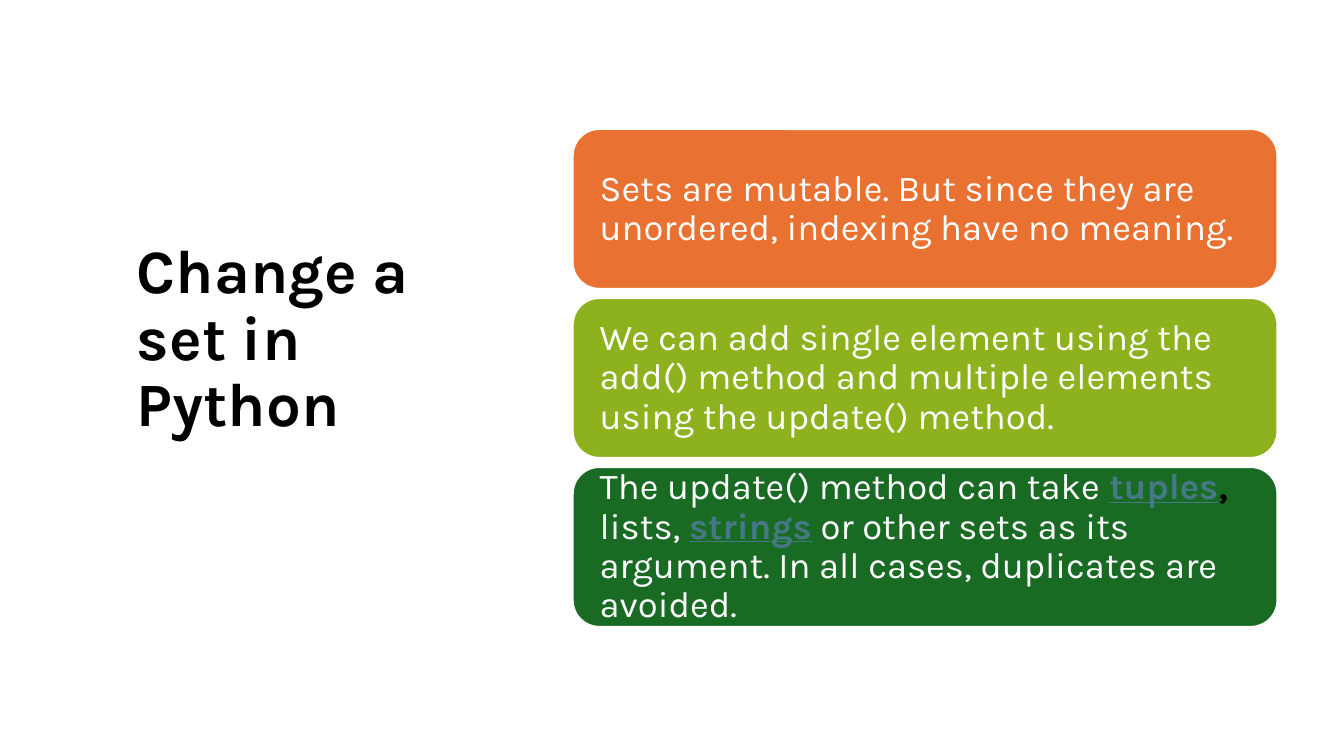
from pptx import Presentation
from pptx import util as u
from pptx.dml.color import RGBColor
from pptx.enum import shapes, text

COLOURS = {
    "ink": "000000",
    "paper": "FFFFFF",
    "orange": "E97132",
    "lime": "8EB21E",
    "green": "196B24",
    "term": "467886",
}
FONT = "Karla"
PLAIN = ("paper", False, False)
TERM = ("term", True, True)
COMMA = ("ink", True, False)

CARDS = [
    ("orange", [("Sets are mutable. But since they are unordered, indexing have no meaning.", PLAIN)]),
    ("lime", [("We can add single element using the add() method and multiple elements "
               "using the update() method.", PLAIN)]),
    ("green", [
        ("The update() method can take ", PLAIN),
        ("tuples", TERM),
        (", ", COMMA),
        ("lists, ", PLAIN),
        ("strings", TERM),
        (" or other sets as its argument. In all cases, duplicates are avoided.", PLAIN),
    ]),
]


def colour(name):
    return RGBColor.from_string(COLOURS[name])


def write(shape, spans, size, insets):
    frame = shape.text_frame
    frame.word_wrap = True
    frame.vertical_anchor = text.MSO_ANCHOR.MIDDLE
    frame.margin_left, frame.margin_top, frame.margin_right, frame.margin_bottom = map(u.Inches, insets)
    para = frame.paragraphs[0]
    para.alignment = text.PP_ALIGN.LEFT
    para.line_spacing = 0.9
    for words, (ink, bold, underline) in spans:
        span = para.add_run()
        span.text = words
        span.font.name = FONT
        span.font.size = u.Pt(size)
        span.font.bold = bold
        span.font.underline = underline
        span.font.color.rgb = colour(ink)


def add_title(page, left, top, width, height):
    box = page.shapes.add_textbox(*map(u.Inches, (left, top, width, height)))
    write(box, [("Change a set in Python", ("ink", True, False))], 44, (0.1, 0.05, 0.1, 0.71))


def add_cards(page, left, top, width, height, gap=0.09):
    card_height = (height - gap * (len(CARDS) - 1)) / len(CARDS)
    for index, (fill, spans) in enumerate(CARDS):
        card_top = top + index * (card_height + gap)
        card = page.shapes.add_shape(
            shapes.MSO_SHAPE.ROUNDED_RECTANGLE,
            *map(u.Inches, (left, card_top, width, card_height)))
        card.shadow.inherit = False
        card.fill.solid()
        card.fill.fore_color.rgb = colour(fill)
        card.line.color.rgb = colour("paper")
        card.line.width = u.Pt(1.5)
        write(card, spans, 26, (0.19, 0, 0.19, 0))


def main():
    deck = Presentation()
    deck.slide_width, deck.slide_height = u.Inches(13.33), u.Inches(7.5)
    page = deck.slides.add_slide(deck.slide_layouts[6])
    add_title(page, 1.26, 1.06, 3.22, 5.29)
    add_cards(page, 5.68, 1.28, 6.99, 4.94)
    deck.save("out.pptx")


if __name__ == "__main__":
    main()
